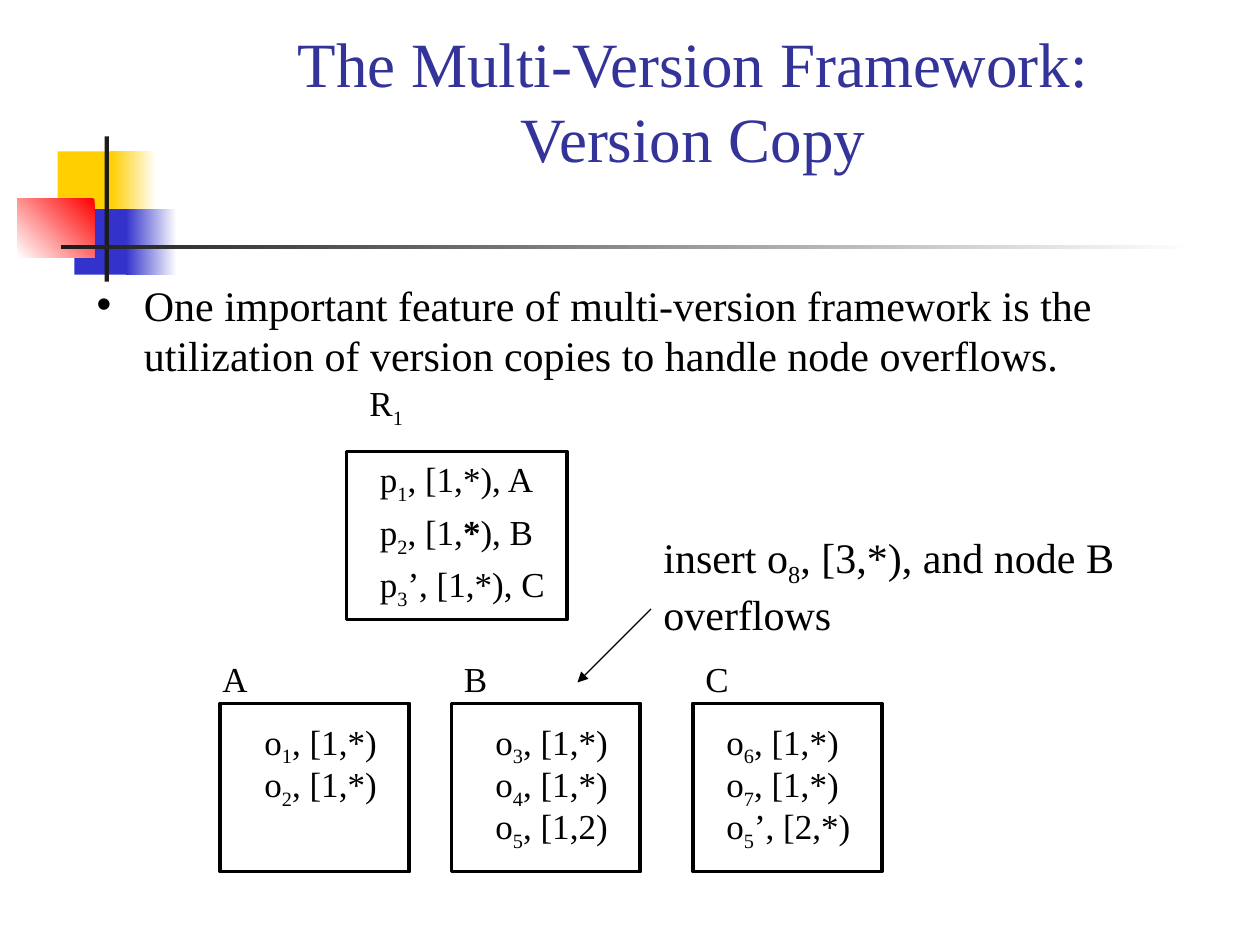
import pptx
import pptx.util
import pptx.dml.color
import pptx.enum.shapes
import pptx.enum.text
import pptx.oxml
import pptx.oxml.ns

Pt = pptx.util.Pt
RGB = pptx.dml.color.RGBColor.from_string
MSO_SHAPE = pptx.enum.shapes.MSO_SHAPE
COLORS = {"white": "FFFFFF", "yellow": "FFCF01", "blue": "3333CC", "red": "FF0000",
          "ink": "1C1C1C", "title": "333399", "text": "000000"}
FRAME_FORMAT = {"word_wrap": True,
                "auto_size": pptx.enum.text.MSO_AUTO_SIZE.NONE,
                "margin_left": Pt(7.2), "margin_right": Pt(7.2),
                "margin_top": Pt(3.6), "margin_bottom": Pt(3.6)}


def write(holder, text, size, color="text"):
    """Fill a text holder; between bars, "_" starts a subscript and "^" a bold part."""
    frame = holder.text_frame
    for name, value in FRAME_FORMAT.items():
        setattr(frame, name, value)
    paragraph = frame.paragraphs[0]
    paragraph.space_before = Pt(0)
    for part in text.split("|"):
        run = paragraph.add_run()
        run.text = part.lstrip("_^")
        for name, value in {"name": "Times New Roman", "size": Pt(size),
                            "bold": part.startswith("^")}.items():
            setattr(run.font, name, value)
        run.font.color.rgb = RGB(COLORS[color])
        if part.startswith("_"):
            run.font._element.set("baseline", "-25000")
    return paragraph


def add_rect(left, top, width, height):
    rect = slide.shapes.add_shape(MSO_SHAPE.RECTANGLE, Pt(left), Pt(top), Pt(width), Pt(height))
    rect.shadow.inherit = False
    return rect


deck = pptx.Presentation()
deck.slide_width, deck.slide_height = Pt(720), Pt(540)
slide = deck.slides.add_slide(deck.slide_layouts[1])

# Corner ornament: (left, top, width, height), gradient angle or None, colours
ornament = [
    ((33, 86.5, 34.5, 37.5), None, ["yellow"]),
    ((63.5, 86.5, 26, 37.5), 180, ["white", "yellow"]),
    ((42.5, 119.5, 33, 37.5), None, ["blue"]),
    ((72, 119.5, 29, 37.5), 180, ["white", "blue"]),
    ((10, 113.5, 44, 33.5), 225, ["red", "white"]),
    ((59.75, 78, 2.5, 83), None, ["ink"]),
    ((34.75, 140, 648, 2.5), 180, ["white", "ink"]),
]
for box, angle, tints in ornament:
    block = add_rect(*box)
    block.line.fill.background()
    if angle is None:
        block.fill.solid()
        block.fill.fore_color.rgb = RGB(COLORS[tints[0]])
    else:
        block.fill.gradient()
        block.fill.gradient_angle = angle
        for stop, tint in zip(block.fill.gradient_stops, tints):
            stop.color.rgb = RGB(COLORS[tint])

# Title and bullet
title = slide.shapes.title
statement = slide.placeholders[1]
for holder, box in [(title, (162, 30, 468, 54)), (statement, (48, 156, 612, 60))]:
    holder.left, holder.top, holder.width, holder.height = map(Pt, box)
title.text_frame.vertical_anchor = pptx.enum.text.MSO_ANCHOR.MIDDLE
heading = write(title, "The Multi-Version Framework: Version Copy", 36, "title")
heading.alignment = pptx.enum.text.PP_ALIGN.CENTER

point = write(statement, "One important feature of multi-version framework is the "
              "utilization of version copies to handle node overflows.", 24)
point_format = point._p.get_or_add_pPr()
point_format.set("marL", str(Pt(27)))
point_format.set("indent", str(-Pt(27)))
namespace = pptx.oxml.ns.nsdecls("a")
point_format.append(pptx.oxml.parse_xml(f'<a:buChar {namespace} char="•"/>'))

# Tree nodes: label, label position, box, entry left, first entry top, entry step, entries
nodes = [
    ("R|_1", (204, 214.5), (198, 258, 126, 96), 210, 258, 30,
     ["p|_1|, [1,*), A", "p|_2|, [1,|^*|), B", "p|_3|’, [1,*), C"]),
    ("A", (120, 372), (126, 402, 108, 96), 144, 408, 24,
     ["o|_1|, [1,*)", "o|_2|, [1,*)"]),
    ("B", (258, 372), (258, 402, 108, 96), 276, 408, 24,
     ["o|_3|, [1,*)", "o|_4|, [1,*)", "o|_5|, [1,2)"]),
    ("C", (396, 372), (396, 402, 108, 96), 408, 408, 24,
     ["o|_6|, [1,*)", "o|_7|, [1,*)", "o|_5|’, [2,*)"]),
]
for label, (label_left, label_top), box, left, top, step, entries in nodes:
    node = add_rect(*box)
    node.fill.background()
    node.line.color.rgb = RGB(COLORS["text"])
    node.line.width = Pt(2.25)
    caption = slide.shapes.add_textbox(Pt(label_left), Pt(label_top), Pt(90), Pt(32))
    write(caption, label, 20)
    for row, entry in enumerate(entries):
        line = slide.shapes.add_textbox(Pt(left), Pt(top + row * step), Pt(120), Pt(34.5))
        write(line, entry, 20)

# Insertion note and its arrow to node B
note = slide.shapes.add_textbox(Pt(372), Pt(300), Pt(276), Pt(69))
write(note, "insert o|_8|, [3,*), and node B overflows", 24)
arrow = slide.shapes.add_connector(pptx.enum.shapes.MSO_CONNECTOR.STRAIGHT,
                                   Pt(372), Pt(348), Pt(330), Pt(390))
arrow.line.color.rgb = RGB(COLORS["text"])
arrow.line.width = Pt(0.75)
arrow.line._get_or_add_ln().append(
    pptx.oxml.parse_xml(f'<a:tailEnd {namespace} type="triangle"/>'))
arrow._element.spPr.append(pptx.oxml.parse_xml(f"<a:effectLst {namespace}/>"))

deck.save("out.pptx")
